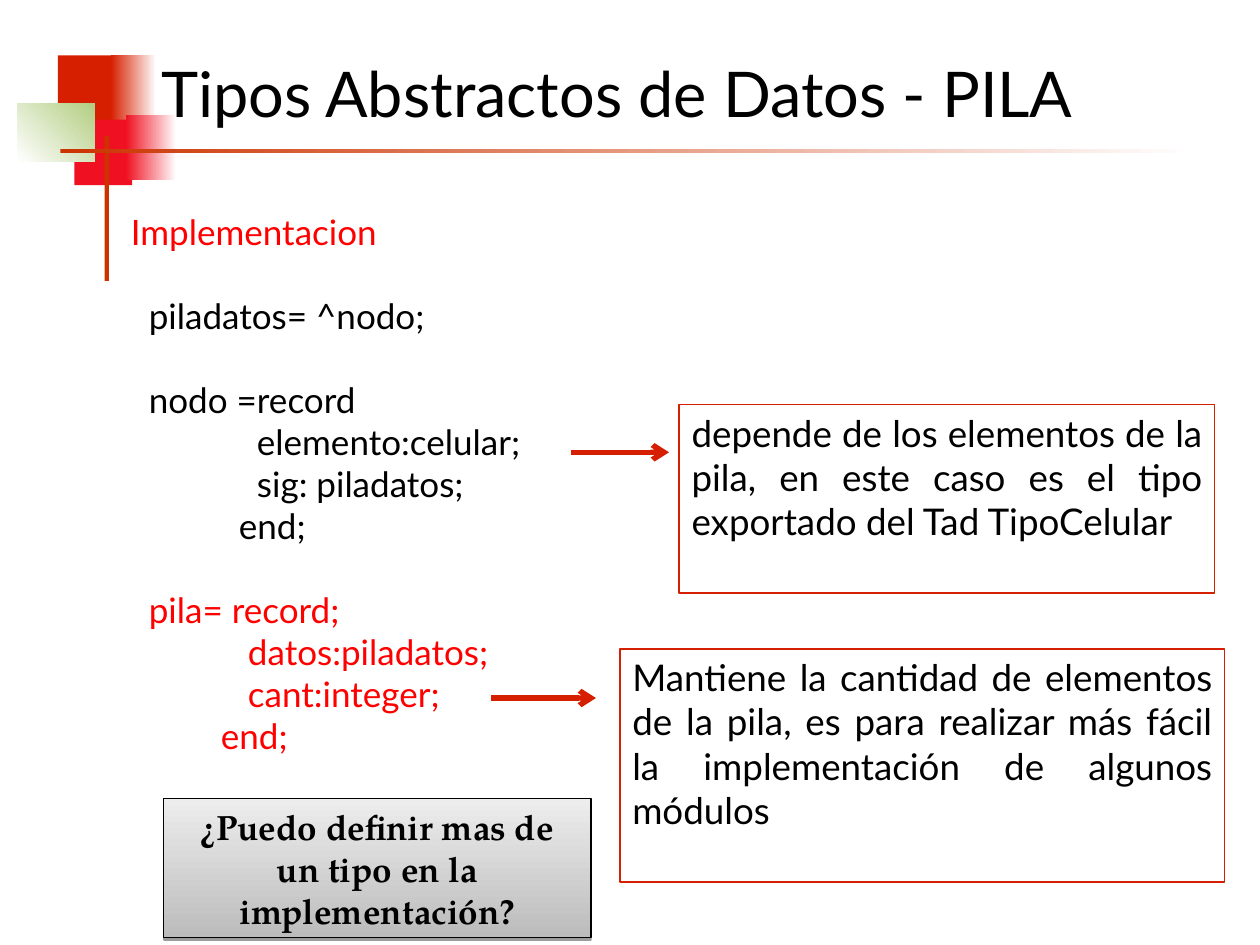
from lxml.etree import SubElement as Sub
from pptx import Presentation
from pptx.dml.color import RGBColor as RGB
from pptx.enum.shapes import MSO_CONNECTOR as Link, MSO_SHAPE as Form
from pptx.enum.text import MSO_ANCHOR as Anchor, PP_ALIGN as Align
from pptx.oxml.ns import qn
from pptx.util import Inches, Pt

deck = Presentation()
deck.slide_width, deck.slide_height = Inches(10), Inches(7.5)
slide = deck.slides.add_slide(deck.slide_layouts[6])
cell = deck.slide_width // 100
red, black, white, rust = "D61F00", "000000", "FFFFFF", "CC3300"


def box(area, fill=None, turn=0, edge=None, width=1):
    item = slide.shapes.add_shape(Form.RECTANGLE, *[int(n * cell) for n in area])
    item.shadow.inherit = False
    if fill is None:
        item.fill.background()
    elif isinstance(fill, tuple):
        item.fill.gradient()
        item.fill.gradient_angle = (360 - turn) % 360
        for stop, tint, place in zip(item.fill.gradient_stops, fill, (0, 1)):
            stop.color.rgb = RGB.from_string(tint)
            stop.position = place
    else:
        item.fill.solid()
        item.fill.fore_color.rgb = RGB.from_string(fill)
    if edge:
        item.line.color.rgb = RGB.from_string(edge)
        item.line.width = Pt(width)
    else:
        item.line.fill.background()
    return item


def write(item, lines, size, align=Align.JUSTIFY, font="Lato", bold=False, anchor=Anchor.TOP):
    frame = item.text_frame
    frame.word_wrap = True
    frame.vertical_anchor = anchor
    for i, (text, tint, step, gap) in enumerate(lines):
        para = frame.add_paragraph() if i else frame.paragraphs[0]
        para.alignment = align
        para.space_before = Pt(gap * size * 1.2)
        para._p.get_or_add_pPr().set("marL", str(int(step * 0.715 * cell)))
        run = para.add_run()
        run.text = text
        run.font.size, run.font.name, run.font.bold = Pt(size), font, bold
        run.font.color.rgb = RGB.from_string(tint)


for area, fill, turn in [
    ((4.6, 4.4, 4.8, 5.2), red, 0),
    ((8.8, 4.4, 3.6, 5.2), (red, white), 0),
    ((5.9, 9.5, 4.6, 5.2), "EF1121", 0),
    ((10, 9.1, 4, 5.2), ("EF1121", white), 0),
    ((1.4, 8.2, 6.1, 4.6), (white, "B3CE82"), 315),
    ((8.3, 10.8, 0.35, 11.5), rust, 0),
    ((4.8, 11.8, 90, 0.35), (rust, white), 0),
]:
    box(area, fill, turn)

hot = "FF0000"
write(box((9.4, 16.2, 36.6, 44.4), white), [
    ("Implementacion", hot, 0, 0),
    ("piladatos= ^nodo;", black, 2, 1),
    ("nodo =record", black, 2, 1),
    ("elemento:celular;", black, 14, 0),
    ("sig: piladatos;", black, 14, 0),
    ("end;", black, 12, 0),
    ("pila= record;", hot, 2, 1),
    ("datos:piladatos;", hot, 13, 0),
    ("cant:integer;", hot, 13, 0),
    ("end;", hot, 10, 0),
], 20)

for area, text in [
    ((53.9, 32.1, 42.5, 15),
     "depende de los elementos de la pila, en este caso es el tipo exportado del Tad TipoCelular"),
    ((49.2, 51.5, 48, 18.5),
     "Mantiene la cantidad de elementos de la pila, es para realizar más fácil la implementación de algunos módulos"),
]:
    write(box(area, edge=red), [(text, black, 0, 0)], 21)

for left, right, row in [(39, 47.3, 55.4), (45.3, 53.1, 35.9)]:
    ends = [int(n * cell) for n in (left, row, right, row)]
    arrow = slide.shapes.add_connector(Link.STRAIGHT, *ends)
    arrow.line.color.rgb = RGB.from_string(red)
    arrow.line.width = Pt(3)
    Sub(arrow.line._get_or_add_ln(), qn("a:tailEnd"), type="arrow")
    Sub(arrow._element.spPr, qn("a:effectLst"))

title = slide.shapes.add_textbox(*[int(n * cell) for n in (11.8, 2.1, 77.6, 8.7)])
write(title, [("Tipos Abstractos de Datos - PILA", black, 0, 0)], 36, Align.LEFT, anchor=Anchor.BOTTOM)

ask = box((13, 63.4, 33.9, 11), ("BCBCBC", "EDEDED"), 270, black, 0.75)
shade = Sub(ask._element.spPr.find(qn("a:effectLst")), qn("a:outerShdw"),
            blurRad="0", dist=str(Pt(1.6)), dir="5400000", rotWithShape="0")
Sub(Sub(shade, qn("a:srgbClr"), val=black), qn("a:alpha"), val="38000")
write(ask, [("¿Puedo definir mas de un tipo en la implementación?", black, 0, 0)], 20,
      Align.CENTER, "TeX Gyre Pagella", True)

deck.save("out.pptx")
